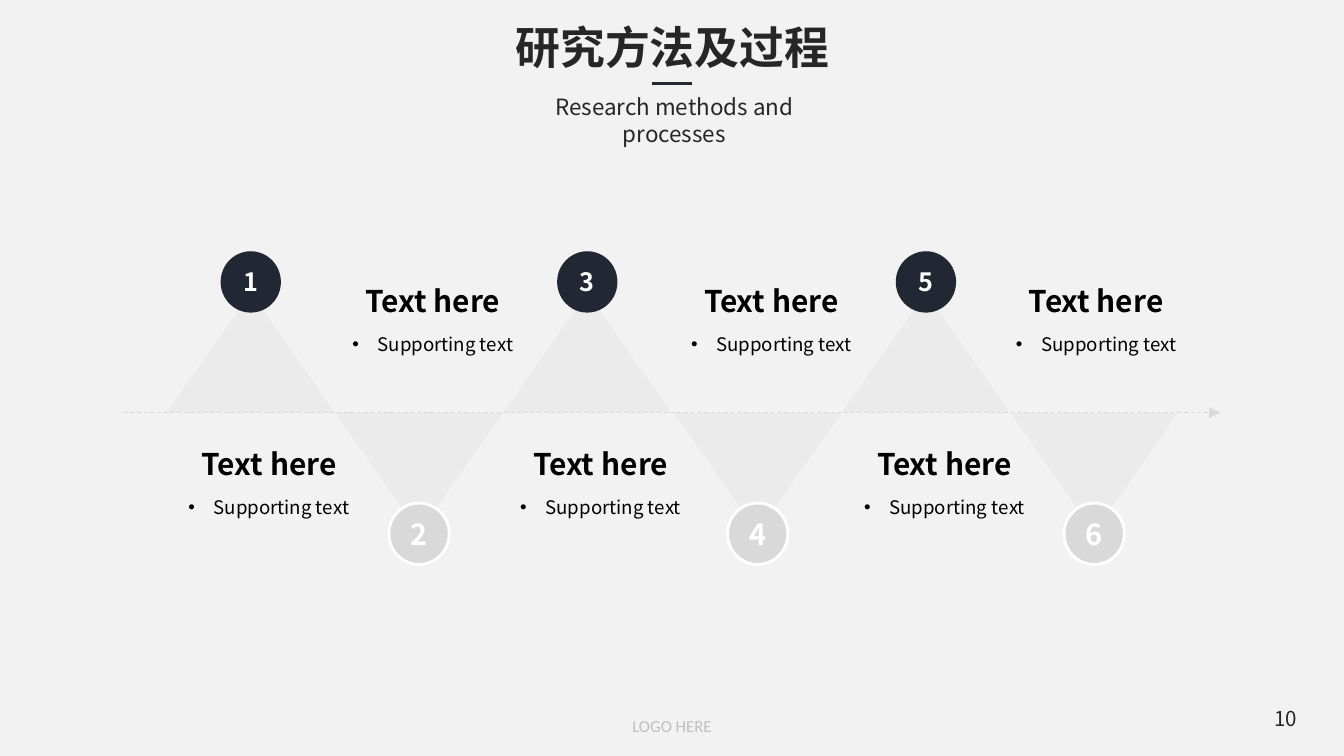
from lxml.etree import SubElement
from pptx import Presentation
from pptx.dml.color import RGBColor
from pptx.enum.dml import MSO_LINE
from pptx.enum.shapes import MSO_CONNECTOR, MSO_SHAPE
from pptx.enum.text import MSO_ANCHOR as Anchor, PP_ALIGN as Align
from pptx.oxml.ns import qn
from pptx.util import Cm, Pt

FONT = "Noto Sans CJK SC"
DARK, INK, PALE, WHITE = "212834", "262626", "D9D9D9", "FFFFFF"

TITLE = "研究方法及过程"
SUBTITLE = "Research methods and processes"
FOOTER = "LOGO HERE"
PAGE_NUMBER = "10"
# heading in two parts with a hairline space between, left edge of the text in cm
STEPS = [
    (("Te", "xt here"), 3.28),
    (("Text", " here"), 6.38),
    (("Text he", "re"), 9.55),
    (("Text", " here"), 12.78),
    (("Text h", "ere"), 16.05),
    (("Text he", "re"), 18.92),
]
SUPPORT = ("Supporting te", "xt")

AXIS_Y = 7.8
FIRST_LEFT, STEP, HALF_GAP = 3.15, 3.18, 0.04
TRIANGLE_WIDTH, TRIANGLE_HEIGHT = 3.18, 2.26
CIRCLE_WIDTH, CIRCLE_HEIGHT = 1.14, 1.16
TEXT_WIDTH, TEXT_HEIGHT = 3.6, 1.04


def color(value):
    return RGBColor.from_string(value)


def write(shape, parts, size, ink, bold=False, align=Align.CENTER,
          anchor=Anchor.TOP, font=FONT, spacing=None):
    """Write one paragraph; its parts are joined by spaces of 1 pt."""
    frame = shape.text_frame
    frame.word_wrap = True
    frame.vertical_anchor = anchor
    paragraph = frame.paragraphs[0]
    paragraph.alignment = align
    paragraph.line_spacing = spacing
    for index, part in enumerate(parts):
        pieces = [(" ", 1), (part, size)] if index else [(part, size)]
        for text, points in pieces:
            run = paragraph.add_run()
            run.text = text
            run.font.size = Pt(points)
            run.font.bold = bold
            run.font.name = font
            run.font.color.rgb = color(ink)
            SubElement(run.font._element, qn("a:ea"), typeface=font)
    return paragraph


def add_text(slide, box, *args, **options):
    shape = slide.shapes.add_textbox(*map(Cm, box))
    return write(shape, *args, **options)


def add_bullet(paragraph):
    properties = paragraph._p.get_or_add_pPr()
    properties.set("marL", str(Cm(0.48)))
    properties.set("indent", str(-Cm(0.48)))
    SubElement(properties, qn("a:buFont"), typeface="Arial")
    SubElement(properties, qn("a:buChar"), char="•")


def add_shape(slide, preset, box, fill):
    shape = slide.shapes.add_shape(preset, *map(Cm, box))
    shape.shadow.inherit = False
    shape.fill.solid()
    shape.fill.fore_color.rgb = color(fill)
    shape.line.fill.background()
    return shape


def add_line(slide, left, right, y, ink, width):
    line = slide.shapes.add_connector(
        MSO_CONNECTOR.STRAIGHT, Cm(left), Cm(y), Cm(right), Cm(y))
    line.line.color.rgb = color(ink)
    line.line.width = Pt(width)
    SubElement(line._element.spPr, qn("a:effectLst"))
    return line


def add_triangle(slide, left, upward):
    top = AXIS_Y - TRIANGLE_HEIGHT if upward else AXIS_Y
    triangle = add_shape(slide, MSO_SHAPE.ISOSCELES_TRIANGLE,
                         (left, top, TRIANGLE_WIDTH, TRIANGLE_HEIGHT), "E7E6E6")
    if not upward:
        triangle._element.spPr.get_or_add_xfrm().set("flipV", "1")
    fill = triangle._element.spPr.find(qn("a:solidFill"))
    SubElement(fill[0], qn("a:alpha"), val="55000")


def add_circle(slide, left, number, upward):
    box = (left + (TRIANGLE_WIDTH - CIRCLE_WIDTH) / 2, 4.75 if upward else 9.51,
           CIRCLE_WIDTH, CIRCLE_HEIGHT)
    circle = add_shape(slide, MSO_SHAPE.OVAL, box, DARK if upward else PALE)
    if not upward:
        circle.line.color.rgb = color(WHITE)
        circle.line.width = Pt(1.5)
    frame = circle.text_frame
    frame.margin_left = frame.margin_right = 0
    frame.margin_top = frame.margin_bottom = 0
    write(circle, [str(number)], 13.5 if upward else 15.5, WHITE, bold=True,
          anchor=Anchor.MIDDLE)


def add_step_text(slide, left, heading, upward):
    """Put the text on the side of the axis that the triangle leaves free."""
    top = 8.21 if upward else 5.13
    add_text(slide, (left, top, TEXT_WIDTH, TEXT_HEIGHT), heading, 16, "000000",
             bold=True, anchor=Anchor.MIDDLE, spacing=1.1)
    add_bullet(add_text(slide, (left, top + TEXT_HEIGHT, TEXT_WIDTH, TEXT_HEIGHT),
                        SUPPORT, 10, "000000"))


def main():
    presentation = Presentation()
    presentation.slide_width, presentation.slide_height = Cm(25.4), Cm(14.29)
    slide = presentation.slides.add_slide(presentation.slide_layouts[5])
    slide.background.fill.solid()
    slide.background.fill.fore_color.rgb = color("F2F2F2")

    title = slide.shapes.title
    title.left, title.top, title.width, title.height = map(
        Cm, (9.38, 0.25, 6.65, 1.27))
    write(title, [TITLE], 24, INK, bold=True)
    add_text(slide, (9.61, 1.63, 6.27, 0.76), [SUBTITLE], 12, INK)
    add_line(slide, 12.32, 13.08, 1.58, DARK, 1.5)
    add_text(slide, (10.35, 13.41, 4.7, 0.64), [FOOTER], 9, "BFBFBF", font="Calibri")
    add_text(slide, (19.04, 13.19, 5.72, 0.76), [PAGE_NUMBER], 11, INK,
             align=Align.RIGHT, anchor=Anchor.MIDDLE)

    for index, (heading, text_left) in enumerate(STEPS):
        left = FIRST_LEFT + index * STEP + index // 3 * HALF_GAP
        upward = index % 2 == 0
        add_triangle(slide, left, upward)
        add_circle(slide, left, index + 1, upward)
        add_step_text(slide, text_left, heading, upward)

    axis = add_line(slide, 2.34, 23.06, AXIS_Y, PALE, 0.5)
    axis.line.dash_style = MSO_LINE.DASH
    SubElement(axis.line._get_or_add_ln(), qn("a:tailEnd"), type="triangle")
    presentation.save("out.pptx")


if __name__ == "__main__":
    main()
